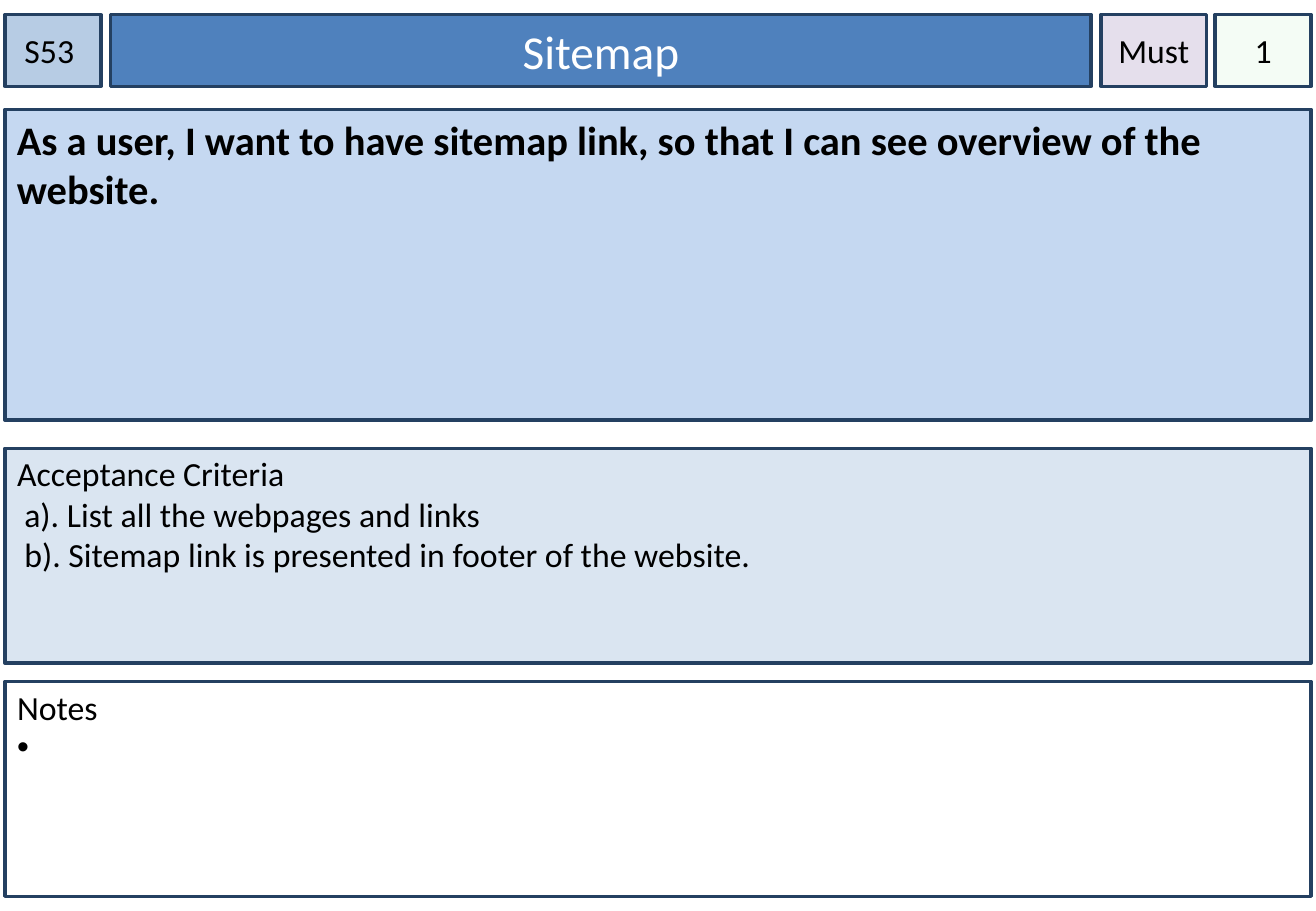
from lxml.etree import SubElement
from pptx import Presentation
from pptx.dml.color import RGBColor
from pptx.enum.shapes import MSO_SHAPE
from pptx.enum.text import MSO_ANCHOR, MSO_AUTO_SIZE, PP_ALIGN
from pptx.oxml.ns import qn
from pptx.util import Pt

PX = 9144  # 100 px to the inch
WIDE, HIGH = 1083, 750
EDGE, GAP = 4, 8

BLACK = RGBColor(0x00, 0x00, 0x00)
WHITE = RGBColor(0xFF, 0xFF, 0xFF)
NAVY = RGBColor(0x24, 0x40, 0x61)
BLUE = RGBColor(0x4F, 0x81, 0xBD)
STEEL = RGBColor(0xB7, 0xCC, 0xE4)
SKY = RGBColor(0xC5, 0xD8, 0xF1)
PALE = RGBColor(0xDA, 0xE5, 0xF1)
LILAC = RGBColor(0xE5, 0xDF, 0xEC)
MINT = RGBColor(0xCC, 0xF0, 0xCD)


def panel(shape, box, color, pads, anchor=MSO_ANCHOR.TOP, alpha=None):
    """Place and paint a shape; pads are left, top, right, bottom."""
    shape.left, shape.top, shape.width, shape.height = (n * PX for n in box)
    shape.fill.solid()
    shape.fill.fore_color.rgb = color
    if alpha is not None:
        tint = shape.fill._xPr.find(qn("a:solidFill"))[0]
        SubElement(tint, qn("a:alpha"), val=str(alpha * 1000))
    shape.line.color.rgb = NAVY
    shape.line.width = Pt(2)
    frame = shape.text_frame
    frame.word_wrap = True
    frame.auto_size = MSO_AUTO_SIZE.NONE
    frame.vertical_anchor = anchor
    (frame.margin_left, frame.margin_top,
     frame.margin_right, frame.margin_bottom) = (n * PX for n in pads)
    return frame


def write(para, text, size=20, color=BLACK, bold=False,
          align=PP_ALIGN.LEFT, left=0, hang=0, mark=None):
    props = para._p.get_or_add_pPr()
    props.set("marL", str(left * PX))
    props.set("indent", str(-hang * PX))
    if mark:
        SubElement(props, qn("a:buFont"), typeface="Arial")
        SubElement(props, qn("a:buChar"), char=mark)
    else:
        SubElement(props, qn("a:buNone"))
    para.alignment = align
    para.space_before = Pt(0)
    run = para.add_run()
    run.text = text
    font = run.font
    font.name, font.size, font.bold = "Calibri", Pt(size), bold
    font.color.rgb = color


def block(slide):
    shape = slide.shapes.add_shape(MSO_SHAPE.RECTANGLE, 0, 0, PX, PX)
    shape.shadow.inherit = False
    return shape


def header(slide, box):
    """Story number, title, priority and estimate in one row."""
    x, y, w, h = box
    side, must = 79, 87
    end = x + w
    rank = end - side - GAP + 1 - must
    start = x + side + GAP
    middle = MSO_ANCHOR.MIDDLE
    cells = [
        ("S53", x, side, STEEL, 6, None),
        ("Must", rank, must, LILAC, 0, None),
        ("1", end - side, side, MINT, 0, 20),
    ]
    for text, left, wide, color, pad, alpha in cells:
        frame = panel(block(slide), (left, y, wide, h), color,
                      (0, 5, pad, 5), middle, alpha)
        write(frame.paragraphs[0], text, align=PP_ALIGN.CENTER)
    frame = panel(slide.shapes.title, (start, y, rank - GAP - start, h),
                  BLUE, (10, 5, 10, 5), middle)
    write(frame.paragraphs[0], "Sitemap", size=28, color=WHITE,
          align=PP_ALIGN.CENTER)


def story(slide, box):
    frame = panel(block(slide), box, SKY, (10, 5, 10, 5))
    write(frame.paragraphs[0], "As a user, I want to have sitemap link, "
          "so that I can see overview of the website.", size=24, bold=True)


def listing(shape, box, color, head, items, **style):
    """A heading with its items below."""
    frame = panel(shape, box, color, (10, 4, 10, 5))
    write(frame.paragraphs[0], head)
    for item in items:
        write(frame.add_paragraph(), item, **style)


def main():
    deck = Presentation()
    deck.slide_width, deck.slide_height = WIDE * PX, HIGH * PX
    slide = deck.slides.add_slide(deck.slide_layouts[3])
    first, second = list(slide.placeholders)[1:3]
    wide = WIDE - 2 * EDGE
    header(slide, (EDGE, 12, wide, 59))
    story(slide, (EDGE, 90, wide, 256))
    listing(first, (EDGE, 369, wide, 177), PALE, "Acceptance Criteria",
            ["a). List all the webpages and links",
             "b). Sitemap link is presented in footer of the website."],
            left=6)
    listing(second, (EDGE, 561, wide, 177), WHITE, "Notes", [" "],
            left=20, hang=20, mark="•")
    deck.save("out.pptx")


if __name__ == "__main__":
    main()
